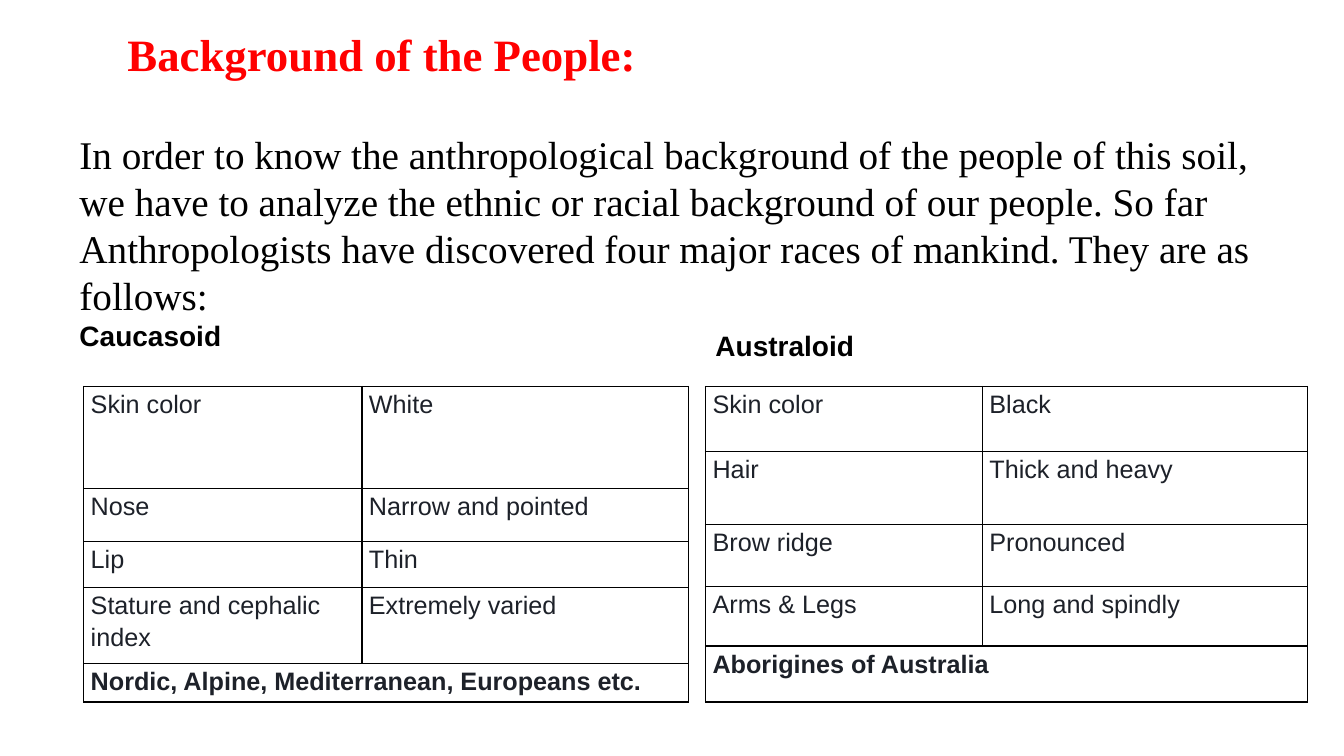
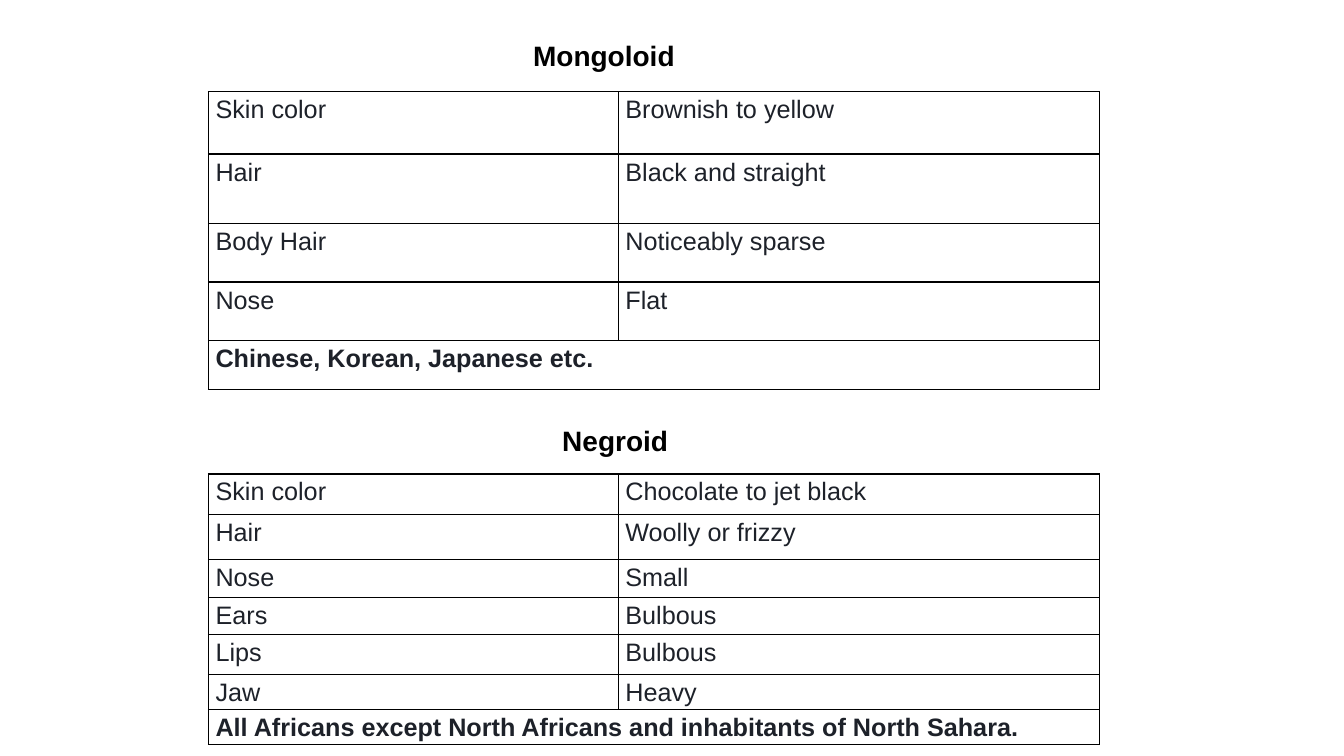
from lxml import etree
from pptx import Presentation
from pptx.dml.color import RGBColor
from pptx.enum.text import MSO_ANCHOR
from pptx.oxml.ns import qn
from pptx.util import Pt

MIDDLE, TOP = MSO_ANCHOR.MIDDLE, MSO_ANCHOR.TOP
COLORS = {"title": "FF0000", "text": "000000", "cell": "1D2129", "line": "000000"}
SERIF, SANS = "Times New Roman", "Arial"
STYLES = {
    "title": (SERIF, 32, "title", True),
    "body": (SERIF, 28, "text", False),
    "head": (SANS, 20, "text", True),
    "cell": (SANS, 18, "cell", False),
    "group": (SANS, 18, "cell", True),
}
SHARE = 0.46
INSET = 5

INTRO = (
    "In order to know the anthropological background of the people of this soil, "
    "we have to analyze the ethnic or racial background of our people. So far "
    "Anthropologists have discovered four major races of mankind. They are as follows:"
)

SLIDES = [
    {
        "texts": [
            ((84, 0, 792, 76), MIDDLE, [("title", "Background of the People:")]),
            ((49.7, 89.3, 884, 167), TOP, [("body", INTRO), ("head", "Caucasoid")]),
            ((504, 231, 152, 32), TOP, [("head", "Australoid")]),
        ],
        "tables": [
            {
                "at": (59.8, 276, 432),
                "rows": [
                    (73, "Skin color", "White"),
                    (38, "Nose", "Narrow and pointed"),
                    (32.5, "Lip", "Thin"),
                    (54.5, "Stature and cephalic index", "Extremely varied"),
                    (27.5, "Nordic, Alpine, Mediterranean, Europeans etc."),
                ],
            },
            {
                "at": (504, 276, 430),
                "rows": [
                    (46.5, "Skin color", "Black"),
                    (52, "Hair", "Thick and heavy"),
                    (44.5, "Brow ridge", "Pronounced"),
                    (42.5, "Arms & Legs", "Long and spindly"),
                    (40, "Aborigines of Australia"),
                ],
            },
        ],
    },
    {
        "texts": [
            ((373.7, 24, 117, 32), TOP, [("head", "Mongoloid")]),
            ((394.5, 299, 115, 32), TOP, [("head", "Negroid")]),
        ],
        "tables": [
            {
                "at": (149, 65.5, 636.5),
                "rows": [
                    (44.5, "Skin color", "Brownish to yellow"),
                    (49.5, "Hair", "Black and straight"),
                    (42, "Body Hair", "Noticeably sparse"),
                    (42, "Nose", "Flat"),
                    (35, "Chinese, Korean, Japanese etc."),
                ],
            },
            {
                "at": (149, 338.5, 636.5),
                "rows": [
                    (29, "Skin color", "Chocolate to jet black"),
                    (32, "Hair", "Woolly or frizzy"),
                    (27.5, "Nose", "Small"),
                    (26, "Ears", "Bulbous"),
                    (29, "Lips", "Bulbous"),
                    (24.5, "Jaw", "Heavy"),
                    (23, "All Africans except North Africans and inhabitants of North Sahara."),
                ],
            },
        ],
    },
]


def write(para, style, text):
    face, size, color, bold = STYLES[style]
    run = para.add_run()
    run.text = text
    font = run.font
    font.name, font.size, font.bold = face, Pt(size), bold
    font.color.rgb = RGBColor.from_string(COLORS[color])


def add_text(slide, box, anchor, paras):
    frame = slide.shapes.add_textbox(*map(Pt, box)).text_frame
    frame.word_wrap = True
    frame.vertical_anchor = anchor
    for i, (style, text) in enumerate(paras):
        para = frame.add_paragraph() if i else frame.paragraphs[0]
        write(para, style, text)


def frame_cell(cell):
    props = cell._tc.get_or_add_tcPr()
    for side in ("lnL", "lnR", "lnT", "lnB"):
        line = etree.SubElement(props, qn("a:" + side), w=str(Pt(1)))
        fill = etree.SubElement(line, qn("a:solidFill"))
        etree.SubElement(fill, qn("a:srgbClr"), val=COLORS["line"])
    cell.fill.background()
    cell.margin_left = cell.margin_right = Pt(INSET)
    cell.margin_top = cell.margin_bottom = 0


def add_grid(slide, at, rows):
    left, top, width = at
    height = sum(row[0] for row in rows)
    table = slide.shapes.add_table(len(rows), 2, *map(Pt, (left, top, width, height))).table
    table.first_row = table.horz_banding = False
    table.columns[0].width = Pt(width * SHARE)
    table.columns[1].width = Pt(width * (1 - SHARE))
    for r, (high, *words) in enumerate(rows):
        table.rows[r].height = Pt(high)
        for c in range(2):
            frame_cell(table.cell(r, c))
        whole = len(words) == 1
        if whole:
            table.cell(r, 0).merge(table.cell(r, 1))
        for c, word in enumerate(words):
            para = table.cell(r, c).text_frame.paragraphs[0]
            para.line_spacing = 1.15
            write(para, "group" if whole else "cell", word)


def main():
    deck = Presentation()
    deck.slide_width, deck.slide_height = Pt(960), Pt(540)
    for page in SLIDES:
        slide = deck.slides.add_slide(deck.slide_layouts[6])
        for text in page["texts"]:
            add_text(slide, *text)
        for grid in page["tables"]:
            add_grid(slide, grid["at"], grid["rows"])
    deck.save("out.pptx")


if __name__ == "__main__":
    main()
